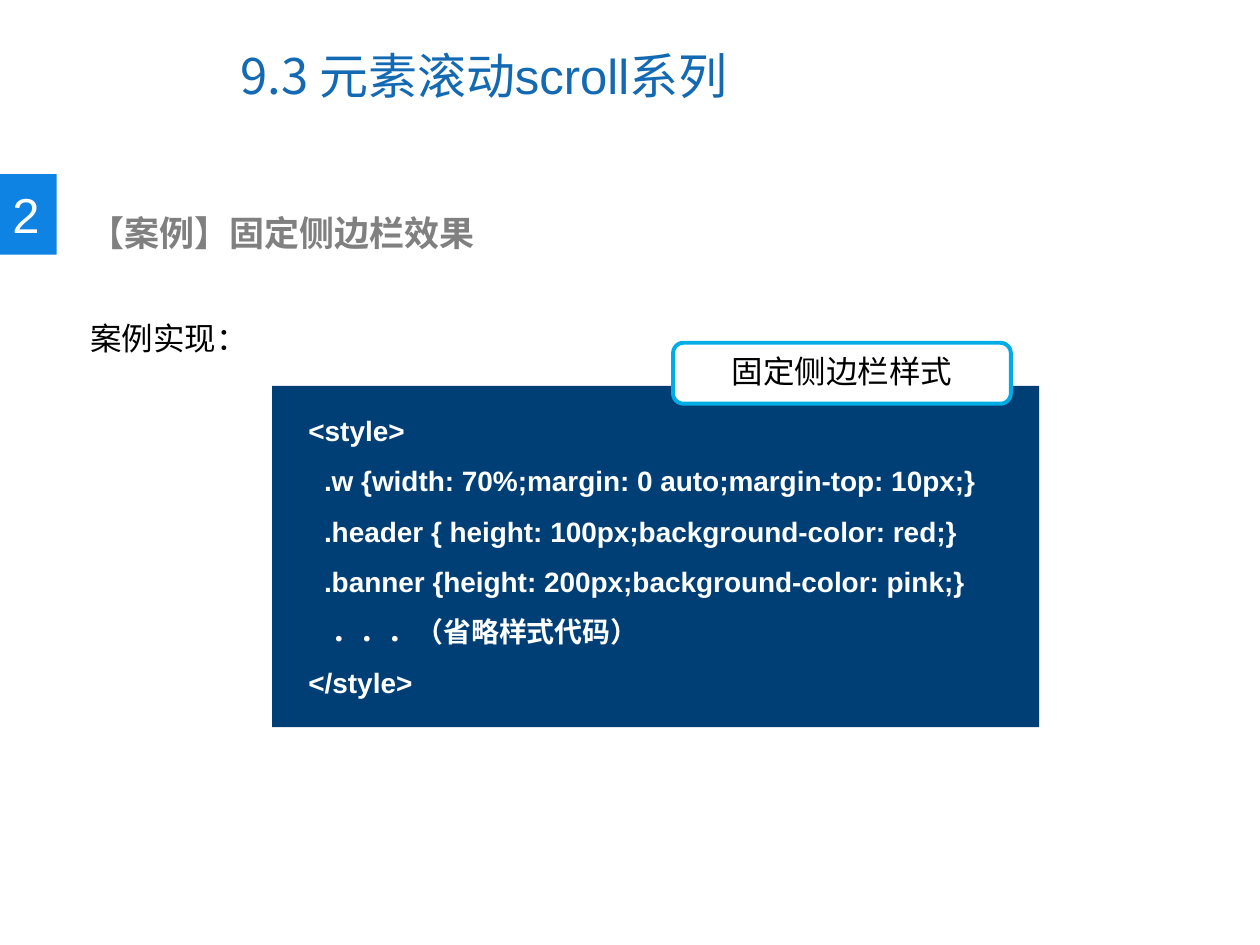
"""Builds the slide on the scroll series: fixed sidebar case."""
from pptx import Presentation
from pptx import util as u
from pptx.dml.color import RGBColor
from pptx.enum import shapes, text
from pptx.oxml import ns
from lxml import etree

TITLE_BLUE = RGBColor(0x13, 0x69, 0xB2)
BADGE_BLUE = RGBColor(0x0F, 0x83, 0xE3)
PANEL_NAVY = RGBColor(0x00, 0x3F, 0x75)
LABEL_CYAN = RGBColor(0x00, 0xAC, 0xE6)
GREY = RGBColor(0x80, 0x80, 0x80)
WHITE = RGBColor(0xFF, 0xFF, 0xFF)
BLACK = RGBColor(0, 0, 0)
LATIN, CJK = "Arial", "Noto Sans CJK SC"

CODE = [
    ("<style>", 0),
    (".w {width: 70%;margin: 0 auto;margin-top: 10px;}", 8.9),
    (".header { height: 100px;background-color: red;}", 8.9),
    (".banner {height: 200px;background-color: pink;}", 8.9),
    ("．．．（省略样式代码）", 13.3),
    ("</style>", 0),
]


def apply(target, values):
    """Set each named attribute on the target."""
    for name, value in values.items():
        setattr(target, name, value)


def add_run(paragraph, words, size, color, font=LATIN, bold=False):
    """Append one run with matching Latin and East Asian fonts."""
    run = paragraph.add_run()
    run.text = words
    apply(run.font, {"size": u.Pt(size), "name": font, "bold": bold})
    run.font.color.rgb = color
    east_asian = etree.Element(ns.qn("a:ea"), typeface=CJK)
    run.font._element.find(ns.qn("a:latin")).addnext(east_asian)


def add_text(parent, box, lines, spacing=1.0, **frame_format):
    """Add a text box; each line is its left indent and its runs."""
    frame = parent.add_textbox(*map(u.Pt, box)).text_frame
    apply(frame, {"word_wrap": True, "auto_size": text.MSO_AUTO_SIZE.SHAPE_TO_FIT_TEXT,
                  **frame_format})
    for number, (indent, runs) in enumerate(lines):
        paragraph = frame.paragraphs[0] if number == 0 else frame.add_paragraph()
        paragraph.line_spacing = spacing
        if indent:
            paragraph._p.get_or_add_pPr().set("marL", str(u.Pt(indent)))
        for run in runs:
            add_run(paragraph, *run)


def add_block(parent, kind, box, fill, border=None):
    """Add a filled shape with an optional border colour."""
    block = parent.add_shape(kind, *map(u.Pt, box))
    block.shadow.inherit = False
    block.fill.solid()
    block.fill.fore_color.rgb = fill
    if border is None:
        block.line.fill.background()
    else:
        block.line.color.rgb = border
        block.line.width = u.Pt(2.25)
    return block


def add_badge(slide):
    """Add the section number at the left edge."""
    badge = slide.shapes.add_group_shape().shapes
    add_block(badge, shapes.MSO_SHAPE.RECTANGLE, (0, 99.5, 32.4, 46), BADGE_BLUE)
    add_text(badge, (0, 102.2, 30.2, 41), [(0, [("2", 28, WHITE)])], word_wrap=False)


def add_code_panel(slide):
    """Add the dark panel with its code lines."""
    panel = slide.shapes.add_group_shape().shapes
    add_block(panel, shapes.MSO_SHAPE.RECTANGLE, (155.5, 220.5, 438.3, 195), PANEL_NAVY)
    lines = [(indent, [(words, 16, WHITE, LATIN, True)]) for words, indent in CODE]
    add_text(panel, (169.2, 223.2, 424.8, 90.7), lines, 1.5)


def add_style_label(slide):
    """Add the rounded label over the panel's top edge."""
    label = add_block(slide.shapes, shapes.MSO_SHAPE.ROUNDED_RECTANGLE,
                      (384.6, 195.9, 193, 34.8), WHITE, LABEL_CYAN)
    label.adjustments[0] = 0.17
    frame = label.text_frame
    apply(frame, {"vertical_anchor": text.MSO_ANCHOR.TOP, "word_wrap": True})
    frame.paragraphs[0].alignment = text.PP_ALIGN.CENTER
    add_run(frame.paragraphs[0], "固定侧边栏样式", 18, BLACK)


def main():
    """Build and save the slide."""
    deck = Presentation()
    apply(deck, {"slide_width": u.Pt(720), "slide_height": u.Pt(540)})
    slide = deck.slides.add_slide(deck.slide_layouts[6])
    title = [("9.3 元素滚动", 28, TITLE_BLUE, CJK), ("scroll", 28, TITLE_BLUE),
             ("系列", 28, TITLE_BLUE, CJK)]
    add_text(slide.shapes, (130.3, 12.2, 371.5, 61.2), [(0, title)],
             auto_size=text.MSO_AUTO_SIZE.NONE, vertical_anchor=text.MSO_ANCHOR.MIDDLE)
    add_badge(slide)
    heading = [("【案例】固定侧边栏效果", 20, GREY, CJK, True)]
    add_text(slide.shapes, (33.8, 117.4, 370, 31.7), [(10, heading)])
    add_text(slide.shapes, (44.6, 157, 622.8, 43.9),
             [(0, [("案例实现：", 18, BLACK)])], 2.0)
    add_code_panel(slide)
    add_style_label(slide)
    deck.save("out.pptx")


if __name__ == "__main__":
    main()
